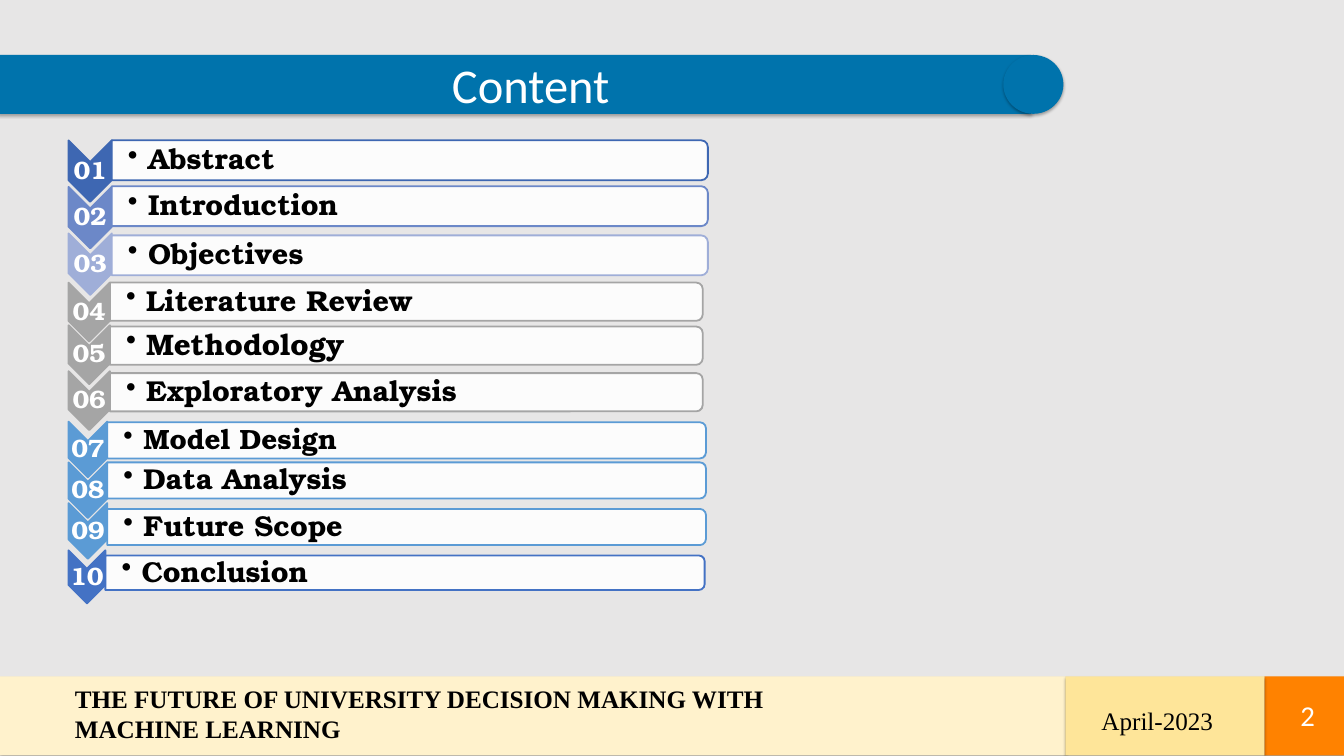
import lxml.etree
import pptx
import pptx.dml.color
import pptx.enum.shapes
import pptx.enum.text
import pptx.oxml
import pptx.oxml.ns
import pptx.util

RGBColor = pptx.dml.color.RGBColor
SHAPE = pptx.enum.shapes.MSO_SHAPE
ALIGN = pptx.enum.text.PP_ALIGN
ANCHOR = pptx.enum.text.MSO_ANCHOR

# The page is a grid of square cells, a tenth of an inch each.
COLUMNS, ROWS = 207.9, 116.9

WHITE = RGBColor(0xFF, 0xFF, 0xFF)
BLACK = RGBColor(0x00, 0x00, 0x00)
PAGE_GRAY = RGBColor(0xE7, 0xE6, 0xE6)
CREAM = RGBColor(0xFF, 0xF2, 0xCC)
SAND = RGBColor(0xFE, 0xE5, 0x99)
ORANGE = RGBColor(0xFF, 0x82, 0x00)
TITLE_BLUE = RGBColor(0x00, 0x73, 0xAC)
DEEP_BLUE = RGBColor(0x3E, 0x67, 0xB2)
MID_BLUE = RGBColor(0x6C, 0x88, 0xC8)
PALE_BLUE = RGBColor(0x9F, 0xAE, 0xD8)
GRAY = RGBColor(0xA5, 0xA5, 0xA5)
SKY_BLUE = RGBColor(0x5B, 0x9B, 0xD5)
ROYAL_BLUE = RGBColor(0x44, 0x72, 0xC4)

SANS = "Calibri"
SERIF = "Times New Roman"
AGENDA_FONT = "TeX Gyre Bonum"

AGENDA_LEFT = 10.6
TIGHT = (0.2, 0.2, 0.2, 0.2)

# Chevron width, chevron height, bar width,
# then for each entry: name, chevron top, bar top, colour, text size
AGENDA = [
    (6.7, 9.5, 92.2, [
        ("Abstract", 21.7, 21.7, DEEP_BLUE, 32),
        ("Introduction", 28.9, 28.8, MID_BLUE, 32),
        ("Objectives", 36.1, 36.4, PALE_BLUE, 32)]),
    (6.4, 9.1, 91.7, [
        ("Literature Review", 43.7, 43.7, GRAY, 32),
        ("Methodology", 50.3, 50.5, GRAY, 33),
        ("Exploratory Analysis", 57.4, 57.7, GRAY, 32)]),
    (6, 8.6, 92.6, [
        ("Model Design", 65.2, 65.3, SKY_BLUE, 31),
        ("Data Analysis", 71.5, 71.5, SKY_BLUE, 32),
        ("Future Scope", 77.8, 78.7, SKY_BLUE, 32)]),
    (5.7, 8.2, 92.7, [
        ("Conclusion", 85.1, 85.9, ROYAL_BLUE, 32)]),
]


def cells(count):
    return pptx.util.Inches(count / 10)


def add_xml(parent, tag, **attributes):
    names = {name: str(value) for name, value in attributes.items()}
    return lxml.etree.SubElement(parent, pptx.oxml.ns.qn(tag), names)


def add_shadow(shape):
    effects = shape._element.spPr.find(pptx.oxml.ns.qn("a:effectLst"))
    shadow = add_xml(effects, "a:outerShdw", blurRad=pptx.util.Pt(3.5),
                     dist=pptx.util.Pt(2.2), dir=90 * 60000, rotWithShape=0)
    color = add_xml(shadow, "a:srgbClr", val=BLACK)
    add_xml(color, "a:alpha", val=32000)


def add_block(page, kind, left, top, width, height, fill, line=None):
    block = page.shapes.add_shape(kind, *map(cells, (left, top, width, height)))
    block.shadow.inherit = False
    block.fill.solid()
    block.fill.fore_color.rgb = fill
    if line is None:
        block.line.fill.background()
    else:
        block.line.color.rgb = line
        block.line.width = pptx.util.Pt(2)
    return block


def add_turned_block(page, kind, left, top, width, height, fill, line):
    """Add a shape turned by 90 degrees that covers the given area."""
    middle_x, middle_y = left + width / 2, top + height / 2
    block = add_block(page, kind, middle_x - height / 2, middle_y - width / 2,
                      height, width, fill, line)
    block.rotation = 90
    return block


def write(box, text, size, font=SANS, color=BLACK, bold=False, align=ALIGN.LEFT,
          anchor=ANCHOR.TOP, insets=(1, 0.5, 1, 0.5), spacing=None,
          after=None, margin=0, bullet=False):
    """Fill a box with one paragraph; after is a percentage of the line."""
    frame = box.text_frame
    frame.word_wrap = True
    frame.vertical_anchor = anchor
    (frame.margin_left, frame.margin_top,
     frame.margin_right, frame.margin_bottom) = map(cells, insets)
    para = frame.paragraphs[0]
    para.alignment = align
    if spacing:
        para.line_spacing = spacing
    properties = para._p.get_or_add_pPr()
    properties.set("marL", str(cells(margin)))
    properties.set("indent", str(cells(-margin if bullet else 0)))
    if after:
        gap = add_xml(properties, "a:spcAft")
        add_xml(gap, "a:spcPct", val=after * 1000)
    if bullet:
        add_xml(add_xml(properties, "a:buClr"), "a:srgbClr", val=color)
        add_xml(properties, "a:buChar", char="•")
    span = para.add_run()
    span.text = text
    span.font.size = pptx.util.Pt(size)
    span.font.name = font
    span.font.bold = bold
    span.font.color.rgb = color


def add_text(page, left, top, width, height, text, size, **style):
    box = page.shapes.add_textbox(*map(cells, (left, top, width, height)))
    write(box, text, size, **style)


def add_footer(page):
    top, height = 104.6, 12.2
    date_left, number_left = 164.8, 195.6
    for left, right, fill in [(0, date_left, CREAM),
                              (number_left, COLUMNS, ORANGE),
                              (date_left, number_left, SAND)]:
        add_shadow(add_block(page, SHAPE.RECTANGLE, left, top,
                             right - left, height, fill))
    add_text(page, 10.6, 105.2, 123.3, 10.4,
             "THE FUTURE OF UNIVERSITY DECISION MAKING WITH MACHINE LEARNING",
             28, font=SERIF, bold=True)
    add_text(page, 169.4, 108.6, 24.5, 5.7, "April-2023", 28, font=SERIF)
    add_text(page, 198.1, 108.4, 6.3, 4.2, "2", 32, color=WHITE,
             align=ALIGN.RIGHT, anchor=ANCHOR.MIDDLE)


def add_title(page):
    top, height = 8.5, 9.1
    band = add_block(page, SHAPE.RECTANGLE, -0.3, top, 159.8, height, TITLE_BLUE)
    add_shadow(band)
    write(band, "Content", 54, color=WHITE, align=ALIGN.CENTER,
          insets=(0, 0, 0, 0), margin=5)
    add_shadow(add_block(page, SHAPE.OVAL, 155.2, top, 9.3, height, TITLE_BLUE))


def add_number(page, number, top, width, height, color):
    add_turned_block(page, SHAPE.CHEVRON, AGENDA_LEFT, top, width, height,
                     color, color)
    label_height = height * 0.3
    add_text(page, AGENDA_LEFT, top + (height - label_height) / 2, width,
             label_height, f"{number:02}", 28, font=AGENDA_FONT, color=WHITE,
             bold=True, align=ALIGN.CENTER, anchor=ANCHOR.MIDDLE, insets=TIGHT,
             spacing=0.9, after=35)


def add_entry_bar(page, name, left, top, width, height, color, size):
    bar = add_turned_block(page, SHAPE.ROUND_2_SAME_RECTANGLE, left, top,
                           width, height, WHITE, color)
    fill_color = bar._element.spPr.find(".//" + pptx.oxml.ns.qn("a:srgbClr"))
    add_xml(fill_color, "a:alpha", val=90000)
    add_text(page, left, top + height * 0.05, width - 0.3, height * 0.9, name,
             size, font=AGENDA_FONT, bold=True, anchor=ANCHOR.MIDDLE,
             insets=(2.5, 0.2, 0.2, 0.2), spacing=0.9, after=15, margin=3.1,
             bullet=True)


def add_agenda(page):
    number = 0
    for width, height, bar_width, entries in AGENDA:
        for name, chevron_top, bar_top, color, size in entries:
            number += 1
            add_number(page, number, chevron_top, width, height, color)
            add_entry_bar(page, name, AGENDA_LEFT + width, bar_top, bar_width,
                          height * 0.65, color, size)


def main():
    deck = pptx.Presentation()
    deck.slide_width, deck.slide_height = cells(COLUMNS), cells(ROWS)
    page = deck.slides.add_slide(deck.slide_layouts[6])
    page.background.fill.solid()
    page.background.fill.fore_color.rgb = PAGE_GRAY
    add_footer(page)
    add_title(page)
    add_agenda(page)
    deck.save("out.pptx")


if __name__ == "__main__":
    main()
